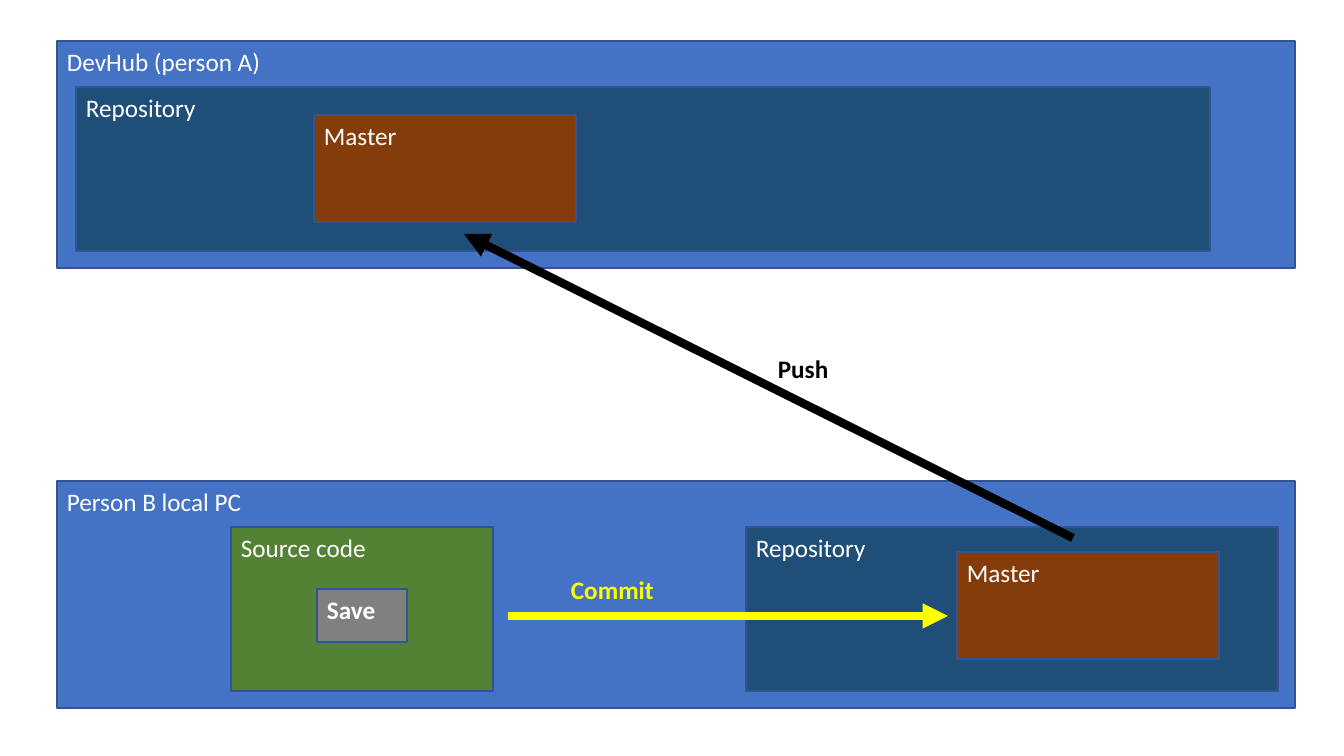
from lxml import etree
from pptx import Presentation
from pptx import util as u
from pptx.dml.color import RGBColor
from pptx.enum import shapes, text
from pptx.oxml import ns

BLUE = RGBColor(0x44, 0x72, 0xC4)
NAVY = RGBColor(0x1F, 0x4E, 0x79)
BROWN = RGBColor(0x84, 0x3C, 0x0B)
GREEN = RGBColor(0x54, 0x82, 0x35)
GRAY = RGBColor(0x80, 0x80, 0x80)
EDGE = RGBColor(0x32, 0x54, 0x91)
WHITE = RGBColor(0xFF, 0xFF, 0xFF)
BLACK = RGBColor(0, 0, 0)
YELLOW = RGBColor(0xFF, 0xFF, 0)

HOST = (1238, 227)
CARD = (262, 107)
BOXES = [
    ("DevHub (person A)", (57, 41), HOST, BLUE, False),
    ("Repository", (76, 87), (1134, 164), NAVY, False),
    ("Person B local PC", (57, 481), HOST, BLUE, False),
    ("Repository", (746, 527), (532, 164), NAVY, False),
    ("Master", (957, 552), CARD, BROWN, False),
    ("Master", (314, 115), CARD, BROWN, False),
    ("Source code", (231, 527), (262, 164), GREEN, False),
    ("Save", (317, 589), (90, 53), GRAY, True),
]
ARROWS = [
    ("Push", (768, 348), (72, 40), (1073, 538), (464, 234), BLACK),
    ("Commit", (561, 569), (104, 40), (508, 616), (948, 616), YELLOW),
]
SCALE = 914400 / 100.8


def px(*vals):
    return [u.Emu(round(v * SCALE)) for v in vals]


def write(shape, words, color, bold, wrap):
    frame = shape.text_frame
    form = {"word_wrap": wrap, "vertical_anchor": text.MSO_ANCHOR.TOP}
    for key, val in form.items():
        setattr(frame, key, val)
    para = frame.paragraphs[0]
    para.alignment = text.PP_ALIGN.LEFT
    run = para.add_run()
    run.text = words
    for key, val in {"name": "Calibri", "size": u.Pt(18), "bold": bold}.items():
        setattr(run.font, key, val)
    run.font.color.rgb = color


def box(slide, words, spot, size, fill, bold):
    shape = slide.shapes.add_shape(
        shapes.MSO_SHAPE.RECTANGLE, *px(*spot, *size))
    shape.shadow.inherit = False
    shape.fill.solid()
    shape.fill.fore_color.rgb = fill
    shape.line.color.rgb = EDGE
    shape.line.width = u.Pt(1)
    write(shape, words, WHITE, bold, True)


def arrow(slide, words, spot, size, start, end, color):
    link = slide.shapes.add_connector(
        shapes.MSO_CONNECTOR.STRAIGHT, *px(*start, *end))
    link.line.color.rgb = color
    link.line.width = u.Pt(6)
    tip = etree.SubElement(link.line._get_or_add_ln(), ns.qn("a:tailEnd"))
    tip.set("type", "triangle")
    etree.SubElement(link._element.spPr, ns.qn("a:effectLst"))
    label = slide.shapes.add_textbox(*px(*spot, *size))
    write(label, words, color, True, False)
    label.text_frame.auto_size = text.MSO_AUTO_SIZE.SHAPE_TO_FIT_TEXT


def main():
    deck = Presentation()
    deck.slide_width, deck.slide_height = px(1344, 756)
    slide = deck.slides.add_slide(deck.slide_layouts[6])
    for item in BOXES:
        box(slide, *item)
    for item in ARROWS:
        arrow(slide, *item)
    deck.save("out.pptx")


if __name__ == "__main__":
    main()
